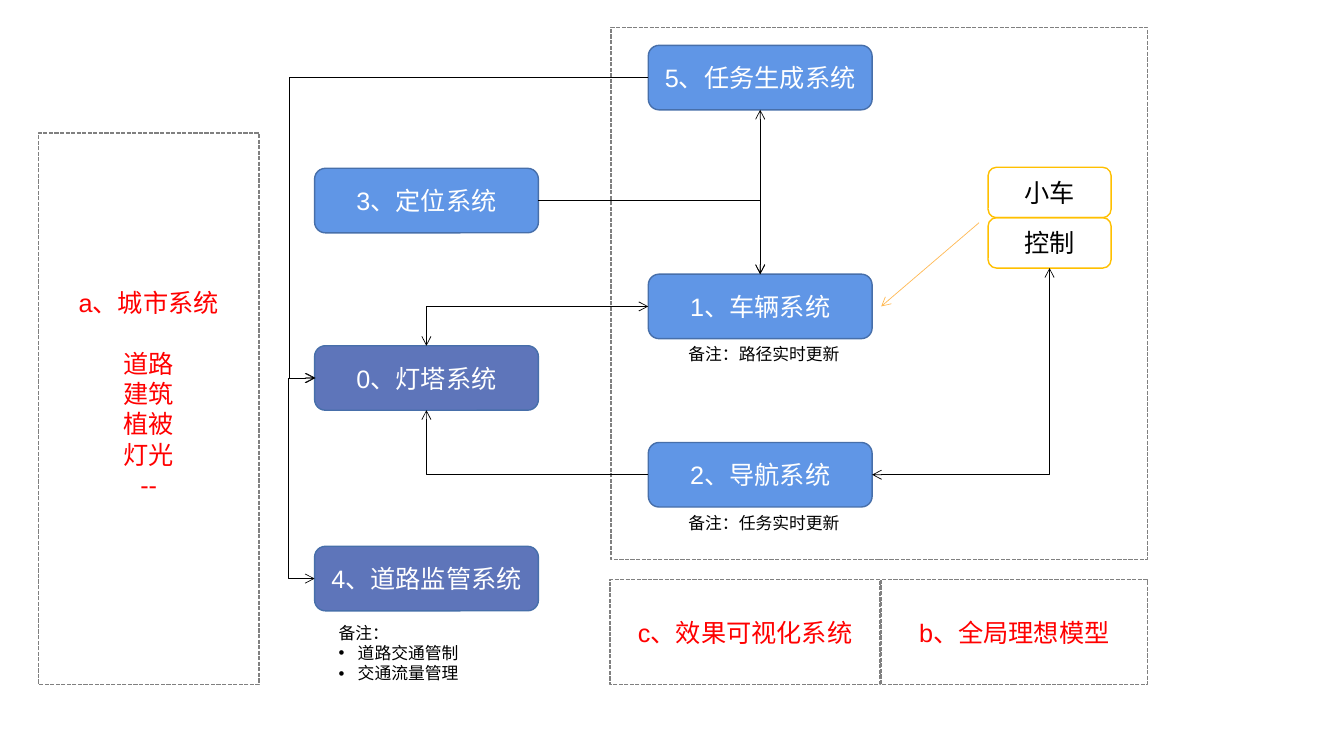
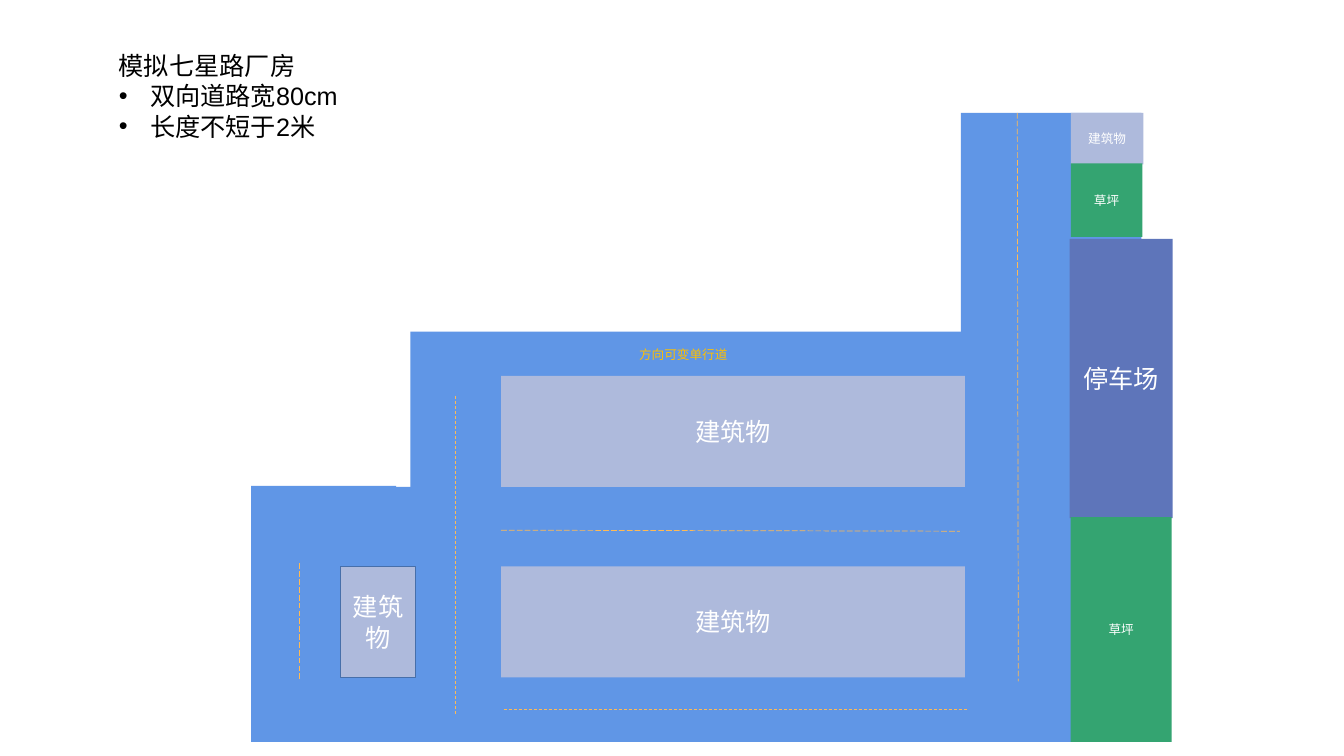
"""Build two slides: a system map and a site plan."""
from lxml.etree import SubElement
from pptx import Presentation
from pptx.dml.color import RGBColor
from pptx.enum.dml import MSO_LINE as DASH
from pptx.enum.lang import MSO_LANGUAGE_ID as LANG
from pptx.enum.shapes import MSO_CONNECTOR as LINK, MSO_SHAPE as SHAPE
from pptx.enum.text import MSO_ANCHOR as ANCHOR, PP_ALIGN as ALIGN
from pptx.oxml.ns import qn
from pptx.util import Inches, Pt

FONT = "Arial"
WHITE = RGBColor(0xFF, 0xFF, 0xFF)
BLACK = RGBColor(0x00, 0x00, 0x00)
RED = RGBColor(0xFF, 0x00, 0x00)
GOLD = RGBColor(0xFF, 0xC0, 0x00)
AMBER = RGBColor(0xFF, 0xBA, 0x55)
GREY = RGBColor(0x80, 0x80, 0x80)
BLUE = RGBColor(0x60, 0x96, 0xE6)
INDIGO = RGBColor(0x5E, 0x75, 0xBA)
PALE = RGBColor(0xAE, 0xBA, 0xDC)
GREEN = RGBColor(0x34, 0xA4, 0x71)
EDGE = RGBColor(0x47, 0x6F, 0xAA)

TOP, LEFT, BOTTOM, RIGHT = range(4)
COL_A, COL_B = 3.12, 6.43
NODE_W, NODE_H = 2.22, 0.64

NODES = {
    "loc": ("3、定位系统", COL_A, 1.67, BLUE),
    "tower": ("0、灯塔系统", COL_A, 3.43, INDIGO),
    "car": ("1、车辆系统", COL_B, 2.72, BLUE),
    "nav": ("2、导航系统", COL_B, 4.39, BLUE),
    "road": ("4、道路监管系统", COL_A, 5.42, INDIGO),
    "task": ("5、任务生成系统", COL_B, 0.45, BLUE),
}
PARTS = {"cart": ("小车", 1.66), "drive": ("控制", 2.16)}
FRAMES = [
    ([], (6.06, 0.27, 5.32, 5.28)),
    (["c、效果可视化系统"], (6.05, 5.75, 2.68, 1.04)),
    (["b、全局理想模型"], (8.74, 5.75, 2.64, 1.04)),
]
CITY = ["a、城市系统", "道路", "建筑", "植被", "灯光", "--"]
CITY_AT = (0.38, 1.32, 2.19, 5.47)
NOTES = [
    (["备注：任务实时更新"], (6.73, 5.04, 1.84, 0.3)),
    (["备注：路径实时更新"], (6.73, 3.36, 1.84, 0.3)),
    (["备注：", "道路交通管制", "交通流量管理"], (3.26, 6.13, 2.37, 0.71)),
]
BENDS = [
    ("loc", RIGHT, "car", TOP, False),
    ("nav", RIGHT, "drive", BOTTOM, True),
    ("car", LEFT, "tower", TOP, True),
    ("nav", LEFT, "tower", BOTTOM, False),
]
LOOPS = [
    ("road", 0.01, -26, True),
    ("task", 0, 1.076, False),
]

ROADS = [
    (4.07, 3.29, 5.5, 1.54),
    (2.49, 4.82, 1.44, 2.54),
    (9.53, 1.12, 1.79, 1.17),
]
CORNER = [(11.32, 2.29), (11.32, 7.36), (3.93, 7.36), (3.93, 4.83),
          (9.53, 4.83), (9.53, 2.29)]
PLOTS = [
    ("建筑物", 18, PALE, None, (4.97, 5.62, 4.6, 1.1)),
    ("建筑物", 18, PALE, None, (4.97, 3.73, 4.6, 1.1)),
    ("建筑物", 18, PALE, EDGE, (3.38, 5.62, 0.74, 1.1)),
    ("停车场", 18, INDIGO, None, (10.61, 2.37, 1.02, 2.77)),
    ("建筑物", 9, PALE, None, (10.62, 1.12, 0.72, 0.51)),
    ("草坪", 9, GREEN, None, (10.62, 1.62, 0.71, 0.73)),
    ("草坪", 9, GREEN, None, (10.62, 5.13, 1, 2.23)),
]
LANES = [
    (4.97, 5.26, 9.52, 5.27, DASH.LONG_DASH),
    (10.09, 1.12, 10.1, 6.76, DASH.LONG_DASH),
    (5, 7.04, 9.6, 7.04, DASH.DASH),
    (4.52, 3.93, 4.52, 7.09, DASH.DASH),
    (2.97, 5.59, 2.97, 6.75, DASH.LONG_DASH),
]
BRIEF = ["模拟七星路厂房", "双向道路宽80cm", "长度不短于2米"]


def write(shape, lines, size, color, align=ALIGN.LEFT):
    frame = shape.text_frame
    frame.word_wrap = True
    for i, line in enumerate(lines):
        para = frame.paragraphs[0] if i == 0 else frame.add_paragraph()
        para.alignment = align
        run = para.add_run()
        run.text = line
        font = run.font
        font.name, font.size, font.color.rgb = FONT, Pt(size), color
        font.language_id = LANG.SIMPLIFIED_CHINESE
    return frame


def paint(shape, fill, edge):
    shape.shadow.inherit = False
    if fill is None:
        shape.fill.background()
    else:
        shape.fill.solid()
        shape.fill.fore_color.rgb = fill
    if edge is None:
        shape.line.fill.background()
    else:
        shape.line.color.rgb, shape.line.width = edge, Pt(1)


def block(slide, at, fill=None, edge=None, lines=(), size=18, color=WHITE,
          kind=SHAPE.RECTANGLE):
    shape = slide.shapes.add_shape(kind, *map(Inches, at))
    paint(shape, fill, edge)
    if lines:
        frame = write(shape, lines, size, color, ALIGN.CENTER)
        frame.vertical_anchor = ANCHOR.MIDDLE
    return shape


def note(slide, at, lines, size, color=BLACK, indent=0.19):
    box = slide.shapes.add_textbox(*map(Inches, at))
    frame = write(box, lines, size, color)
    for para in frame.paragraphs[1:]:
        props = para._p.get_or_add_pPr()
        props.set("marL", str(Inches(indent)))
        props.set("indent", str(-Inches(indent)))
        SubElement(props, qn("a:buFont")).set("typeface", FONT)
        SubElement(props, qn("a:buChar")).set("char", "•")


def style(link, color, ends=(), dash=None):
    link.line.color.rgb, link.line.width = color, Pt(0.5)
    if dash is not None:
        link.line.dash_style = dash
    props = link.element.spPr
    for end in ends:
        SubElement(props.find(qn("a:ln")), qn("a:" + end)).set("type", "arrow")
    SubElement(props, qn("a:effectLst"))


def site(shape, side):
    x, y = shape.left + shape.width // 2, shape.top + shape.height // 2
    return {
        TOP: (x, shape.top),
        LEFT: (shape.left, y),
        BOTTOM: (x, shape.top + shape.height),
        RIGHT: (shape.left + shape.width, y),
    }[side]


def join(slide, kind, start, out, stop, into, both):
    link = slide.shapes.add_connector(kind, *site(start, out), *site(stop, into))
    link.begin_connect(start, out)
    link.end_connect(stop, into)
    style(link, BLACK, ("headEnd", "tailEnd") if both else ("tailEnd",))
    return link


def system_map(slide):
    nodes = {}
    for key, (text, x, y, fill) in NODES.items():
        nodes[key] = block(slide, (x, y, NODE_W, NODE_H), fill, EDGE, [text],
                           kind=SHAPE.ROUNDED_RECTANGLE)
    for key, (text, y) in PARTS.items():
        nodes[key] = block(slide, (9.8, y, 1.22, 0.5), None, GOLD, [text],
                           color=BLACK, kind=SHAPE.ROUNDED_RECTANGLE)
    for lines, at in FRAMES + [(CITY, CITY_AT)]:
        frame = block(slide, at, None, GREY, lines, color=RED)
        frame.line.dash_style = DASH.SQUARE_DOT
    frame.text_frame.paragraphs[0].space_after = Pt(21.6)
    frame.text_frame.margin_bottom = Inches(0.35)
    for lines, at in NOTES:
        note(slide, at, lines, 12)

    for start, out, stop, into, both in BENDS:
        link = join(slide, LINK.ELBOW, nodes[start], out, nodes[stop], into, both)
        link.element.spPr.find(qn("a:prstGeom")).set("prst", "bentConnector2")
    for start, nudge, bend, both in LOOPS:
        link = join(slide, LINK.ELBOW, nodes[start], LEFT, nodes["tower"], LEFT, both)
        link.end_x += Inches(nudge)
        geom = link.element.spPr.find(qn("a:prstGeom"))
        guide = SubElement(geom.find(qn("a:avLst")), qn("a:gd"))
        guide.set("name", "adj1")
        guide.set("fmla", f"val {round(bend * 100000)}")
    join(slide, LINK.STRAIGHT, nodes["task"], BOTTOM, nodes["car"], TOP, True)
    arrow = slide.shapes.add_connector(
        LINK.STRAIGHT, *map(Inches, (9.71, 2.21, 8.74, 3.04)))
    style(arrow, AMBER, ("tailEnd",))


def site_plan(slide):
    for at in ROADS:
        block(slide, at, BLUE)
    first, *rest = [(Inches(x), Inches(y)) for x, y in CORNER]
    pen = slide.shapes.build_freeform(*first)
    pen.add_line_segments(rest, close=True)
    paint(pen.convert_to_shape(), BLUE, None)
    for text, size, fill, edge, at in PLOTS:
        block(slide, at, fill, edge, [text], size)
    note(slide, (6.24, 3.39, 2.06, 0.25), ["方向可变单行道"], 9, GOLD)
    for *ends, dash in LANES:
        lane = slide.shapes.add_connector(LINK.STRAIGHT, *map(Inches, ends))
        style(lane, AMBER, dash=dash)
    note(slide, (1.08, 0.45, 2.5, 1.01), BRIEF, 18, indent=0.31)


def main():
    deck = Presentation()
    deck.slide_width, deck.slide_height = Inches(13.33), Inches(7.5)
    for draw in (system_map, site_plan):
        draw(deck.slides.add_slide(deck.slide_layouts[6]))
    deck.save("out.pptx")


if __name__ == "__main__":
    main()
